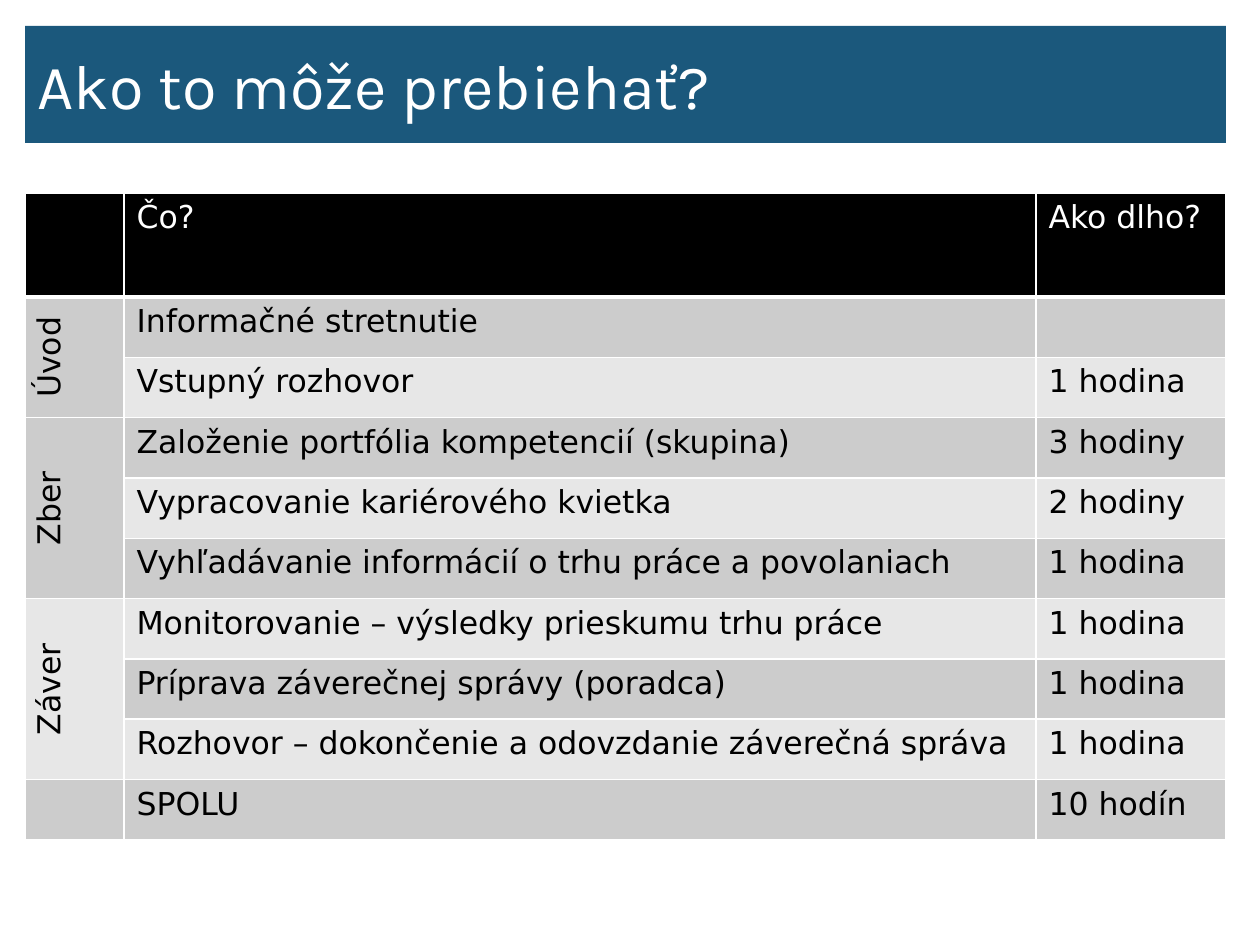
"""Build a slide with a title bar and a timetable of counselling phases."""
import pptx
import pptx.dml.color
import pptx.enum.text
import pptx.oxml
import pptx.oxml.ns
import pptx.util

TITLE = "Ako to môže prebiehať?"
HEADER = ("", "Čo?", "Ako dlho?")
PHASES = [
    ("Úvod", [("Informačné stretnutie", ""), ("Vstupný rozhovor", "1 hodina")]),
    ("Zber", [
        ("Založenie portfólia kompetencií (skupina)", "3 hodiny"),
        ("Vypracovanie kariérového kvietka", "2 hodiny"),
        ("Vyhľadávanie informácií o trhu práce a povolaniach", "1 hodina"),
    ]),
    ("Záver", [
        ("Monitorovanie – výsledky prieskumu trhu práce", "1 hodina"),
        ("Príprava záverečnej správy (poradca)", "1 hodina"),
        ("Rozhovor – dokončenie a odovzdanie záverečná správa", "1 hodina"),
    ]),
    ("", [("SPOLU", "10 hodín")]),
]
COLORS = {"bar": "1B587C", "white": "FFFFFF", "black": "000000",
          "odd": "CCCCCC", "even": "E7E7E7"}
PX = 914400 // 126
LEFT, WIDTH = 25, 1201
TITLE_TOP, TITLE_HEIGHT = 26, 117
TABLE_TOP, TABLE_HEIGHT, HEADER_HEIGHT = 193, 647, 104
COLUMN_WIDTHS = (99, 912, 190)


def px(value):
    return pptx.util.Emu(round(value * PX))


def rgb(name):
    return pptx.dml.color.RGBColor.from_string(COLORS[name])


def set_borders(cell, bottom_width):
    properties = cell._tc.get_or_add_tcPr()
    for side, width in (("L", 1), ("R", 1), ("T", 1), ("B", bottom_width)):
        properties.append(pptx.oxml.parse_xml(
            f'<a:ln{side} {pptx.oxml.ns.nsdecls("a")} w="{pptx.util.Pt(width)}">'
            f'<a:solidFill><a:srgbClr val="{COLORS["white"]}"/></a:solidFill></a:ln{side}>'))


def style_cell(cell, text, fill, color, bottom_width=1):
    set_borders(cell, bottom_width)
    cell.fill.solid()
    cell.fill.fore_color.rgb = rgb(fill)
    cell.text = text
    font = cell.text_frame.paragraphs[0].font
    font.size = pptx.util.Pt(18)
    font.name = "DejaVu Sans"
    font.bold = False
    font.color.rgb = rgb(color)


def add_title(slide):
    title = slide.shapes.title
    title.left, title.top = px(LEFT), px(TITLE_TOP)
    title.width, title.height = px(WIDTH), px(TITLE_HEIGHT)
    title.fill.solid()
    title.fill.fore_color.rgb = rgb("bar")
    title.text = TITLE
    title.text_frame.auto_size = pptx.enum.text.MSO_AUTO_SIZE.NONE
    title.text_frame.vertical_anchor = pptx.enum.text.MSO_ANCHOR.MIDDLE
    paragraph = title.text_frame.paragraphs[0]
    paragraph.alignment = pptx.enum.text.PP_ALIGN.LEFT
    paragraph.font.name = "Karla"
    paragraph.font.size = pptx.util.Pt(36)
    paragraph.font.color.rgb = rgb("white")


def add_timetable(slide):
    step_count = sum(len(steps) for _, steps in PHASES)
    table = slide.shapes.add_table(
        step_count + 1, len(HEADER), px(LEFT), px(TABLE_TOP), px(WIDTH), px(TABLE_HEIGHT)).table
    for column, width in zip(table.columns, COLUMN_WIDTHS):
        column.width = px(width)
    for row in table.rows:
        row.height = px((TABLE_HEIGHT - HEADER_HEIGHT) / step_count)
    table.rows[0].height = px(HEADER_HEIGHT)

    for column, text in enumerate(HEADER):
        style_cell(table.cell(0, column), text, "black", "white", bottom_width=3)
    row = 1
    for phase, steps in PHASES:
        first, last = row, row + len(steps) - 1
        for index, step in enumerate(steps):
            fill = "odd" if row % 2 else "even"
            for column, text in enumerate(("" if index else phase, *step)):
                style_cell(table.cell(row, column), text, fill, "black")
            row += 1
        if phase:
            label = table.cell(first, 0)
            label.merge(table.cell(last, 0))
            label._tc.get_or_add_tcPr().set("vert", "vert270")
            label.vertical_anchor = pptx.enum.text.MSO_ANCHOR.MIDDLE
            label.text_frame.paragraphs[0].alignment = pptx.enum.text.PP_ALIGN.CENTER


def main():
    presentation = pptx.Presentation()
    presentation.slide_width = pptx.util.Inches(10)
    presentation.slide_height = pptx.util.Inches(7.5)
    slide = presentation.slides.add_slide(presentation.slide_layouts[5])
    add_title(slide)
    add_timetable(slide)
    presentation.save("out.pptx")


if __name__ == "__main__":
    main()
